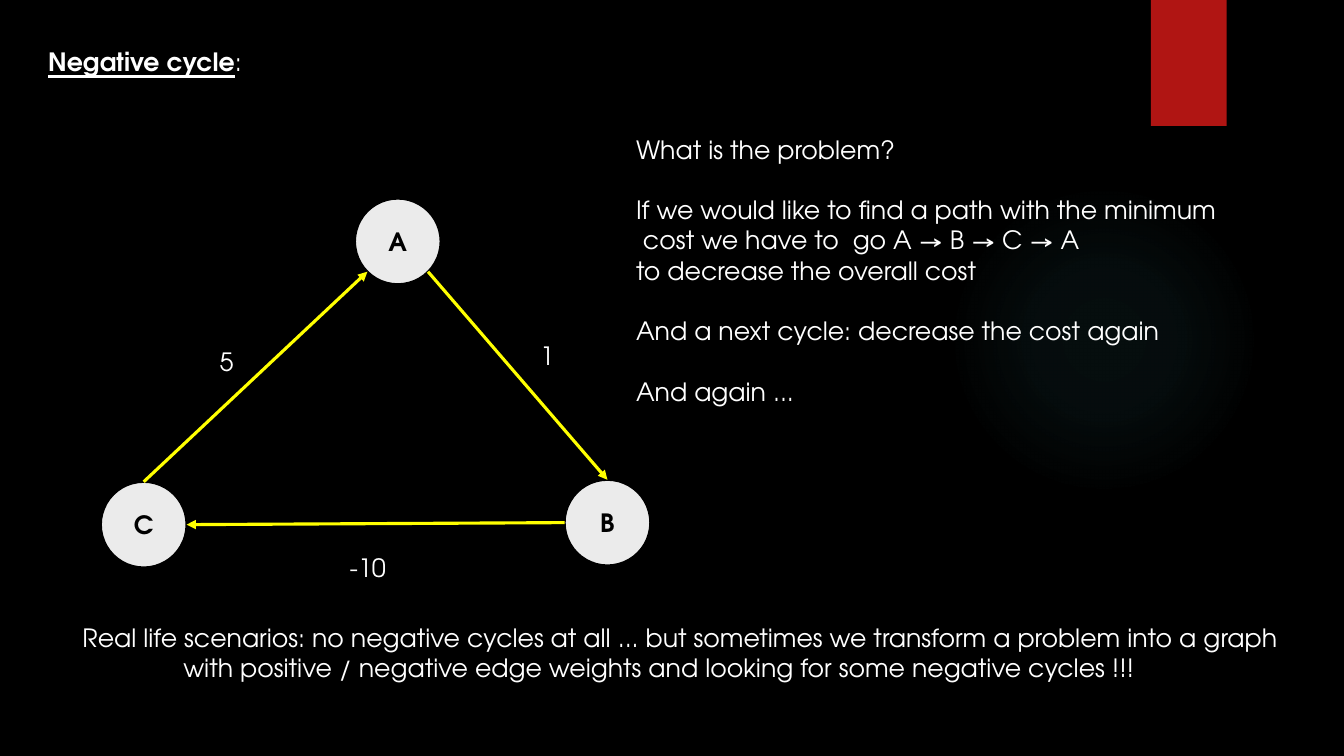
from dataclasses import dataclass
from math import cos, radians, sin

from lxml.etree import SubElement
from pptx import Presentation
from pptx.dml.color import RGBColor
from pptx.enum.shapes import MSO_CONNECTOR, MSO_SHAPE
from pptx.enum.text import MSO_ANCHOR, MSO_AUTO_SIZE, PP_ALIGN
from pptx.oxml import parse_xml
from pptx.oxml.ns import nsdecls, qn
from pptx.util import Inches, Pt


@dataclass(frozen=True)
class Theme:
    """Colours, font and sizes of the slide."""
    back: str = "000000"
    text: str = "FFFFFF"
    node: str = "EBEBEB"
    edge: str = "FFFF00"
    flag: str = "B01513"
    glow: str = "50B9C1"
    font: str = "TeX Gyre Adventor"
    size: float = 18
    gap: float = 21.6
    rim: float = 1.5
    wire: float = 2.25


THEME = Theme()
DISC = 3.4  # node width in grid cells

# Node centres as column, row
NODES = {"C": (5.7, 20.82), "A": (15.78, 9.58), "B": (24.1, 20.74)}

# Start node, its site, end node, its site
EDGES = [("C", 0, "A", 3), ("A", 5, "B", 0), ("B", 2, "C", 6)]

# Label, column, row, width
COSTS = [("5", 8.32, 13.56, 1.36), ("1", 21.04, 13.32, 1.36),
         ("-10", 13.48, 21.72, 2.28)]

# Line, gap before it
BODY = [
    ("What is the problem?", False),
    ("If we would like to find a path with the minimum", True),
    (" cost we have to  go A → B → C → A", False),
    ("to decrease the overall cost", False),
    ("And a next cycle: decrease the cost again", True),
    ("And again ...", True),
]
NOTE = [
    "Real life scenarios: no negative cycles at all ... but sometimes"
    " we transform a problem into a graph",
    "with positive / negative edge weights and looking for some"
    " negative cycles !!!",
]


def grid(*cells):
    """Turn columns or rows of a quarter-inch grid into lengths."""
    return [Inches(cell / 4) for cell in cells]


def tint(code):
    """Turn a hex code into a colour."""
    return RGBColor.from_string(code)


def add_run(para, text, color=THEME.text, bold=False, under=False):
    """Add one styled run to a paragraph."""
    run = para.add_run()
    run.text = text
    font = run.font
    font.name, font.size = THEME.font, Pt(THEME.size)
    font.bold, font.underline = bold, under
    font.color.rgb = tint(color)


def add_text(slide, box):
    """Add an unwrapped text box and return its frame."""
    frame = slide.shapes.add_textbox(*grid(*box)).text_frame
    frame.word_wrap = False
    frame.auto_size = MSO_AUTO_SIZE.SHAPE_TO_FIT_TEXT
    return frame


def add_form(slide, kind, box, fill=None):
    """Add a preset shape without line or shadow."""
    form = slide.shapes.add_shape(kind, *grid(*box))
    form.shadow.inherit = False
    form.line.fill.background()
    if fill:
        form.fill.solid()
        form.fill.fore_color.rgb = tint(fill)
    return form


def add_glow(slide, box):
    """Add a faint disc that fades out from its centre."""
    disc = add_form(slide, MSO_SHAPE.OVAL, box)
    stops = "".join(
        f'<a:gs pos="{pos * 1000}"><a:srgbClr val="{THEME.glow}">'
        f'<a:alpha val="{alpha * 1000}"/></a:srgbClr></a:gs>'
        for pos, alpha in [(0, 7), (36, 6), (69, 0)])
    fade = parse_xml(
        f'<a:gradFill {nsdecls("a")}><a:gsLst>{stops}</a:gsLst>'
        '<a:path path="circle"><a:fillToRect l="50000" t="50000"'
        ' r="50000" b="50000"/></a:path></a:gradFill>')
    disc.element.spPr.find(qn("a:prstGeom")).addnext(fade)


def add_node(slide, name):
    """Add a named graph node around its centre."""
    col, row = NODES[name]
    box = (col - DISC / 2, row - DISC / 2, DISC, DISC)
    node = add_form(slide, MSO_SHAPE.OVAL, box, THEME.node)
    node.line.color.rgb = tint(THEME.back)
    node.line.width = Pt(THEME.rim)
    frame = node.text_frame
    frame.vertical_anchor = MSO_ANCHOR.MIDDLE
    para = frame.paragraphs[0]
    para.alignment = PP_ALIGN.CENTER
    add_run(para, name, THEME.back, bold=True)
    return node


def find_site(name, site):
    """Locate one of eight rim sites, counted leftwards from the top."""
    col, row = NODES[name]
    turn = radians(45 * site)
    return grid(col - DISC / 2 * sin(turn), row - DISC / 2 * cos(turn))


def add_edge(slide, nodes, start, out, end, into):
    """Add an arrow glued to the rims of two nodes."""
    edge = slide.shapes.add_connector(
        MSO_CONNECTOR.STRAIGHT, *find_site(start, out), *find_site(end, into))
    edge.line.color.rgb = tint(THEME.edge)
    edge.line.width = Pt(THEME.wire)
    SubElement(edge.line._get_or_add_ln(), qn("a:tailEnd"), type="triangle")
    SubElement(edge._element.spPr, qn("a:effectLst"))
    glue = edge._element.find(".//" + qn("p:cNvCxnSpPr"))
    for tag, name, site in [("a:stCxn", start, out), ("a:endCxn", end, into)]:
        SubElement(glue, qn(tag), id=str(nodes[name].shape_id), idx=str(site))


def add_graph(slide):
    """Add the weighted cycle."""
    nodes = {name: add_node(slide, name) for name in NODES}
    for edge in EDGES:
        add_edge(slide, nodes, *edge)
    for cost, col, row, width in COSTS:
        add_run(add_text(slide, (col, row, width, 1.6)).paragraphs[0], cost)


def add_title(slide):
    """Add the underlined heading."""
    para = add_text(slide, (1.52, 1.64, 8.6, 1.6)).paragraphs[0]
    add_run(para, "Negative cycle", bold=True, under=True)
    add_run(para, ":")


def add_lines(slide, box, lines):
    """Add a paragraph for each line and return them."""
    frame = add_text(slide, box)
    paras = [frame.paragraphs[0]]
    paras += [frame.add_paragraph() for _ in lines[1:]]
    for para, line in zip(paras, lines):
        add_run(para, line)
    return paras


def add_body(slide):
    """Add the explanation beside the graph."""
    lines = [line for line, _ in BODY]
    paras = add_lines(slide, (24.84, 5.12, 24.2, 11.32), lines)
    for para, (_, gap) in zip(paras, BODY):
        if gap:
            para.space_before = Pt(THEME.gap)


def add_note(slide):
    """Add the closing remark with an indented second line."""
    paras = add_lines(slide, (2.88, 24.48, 49.32, 2.84), NOTE)
    paras[1]._p.get_or_add_pPr().set("marL", str(Inches(1)))


def main():
    """Build and save the slide."""
    deck = Presentation()
    deck.slide_width, deck.slide_height = Inches(13.33), Inches(7.5)
    slide = deck.slides.add_slide(deck.slide_layouts[6])
    slide.background.fill.solid()
    slide.background.fill.fore_color.rgb = tint(THEME.back)
    add_glow(slide, (37.64, 7.32, 12.32, 12.32))
    add_form(slide, MSO_SHAPE.RECTANGLE, (45.66, 0, 3, 5), THEME.flag)
    add_title(slide)
    add_graph(slide)
    add_body(slide)
    add_note(slide)
    deck.save("out.pptx")


main()
